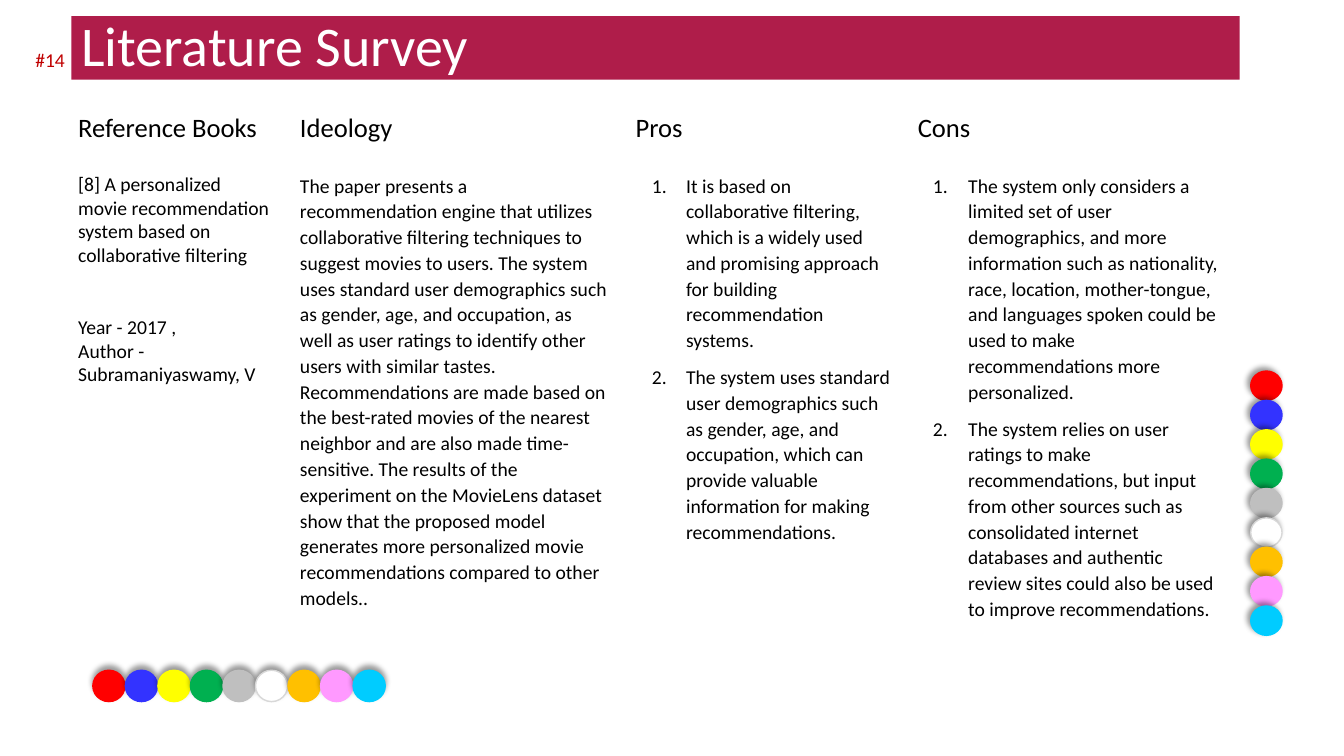
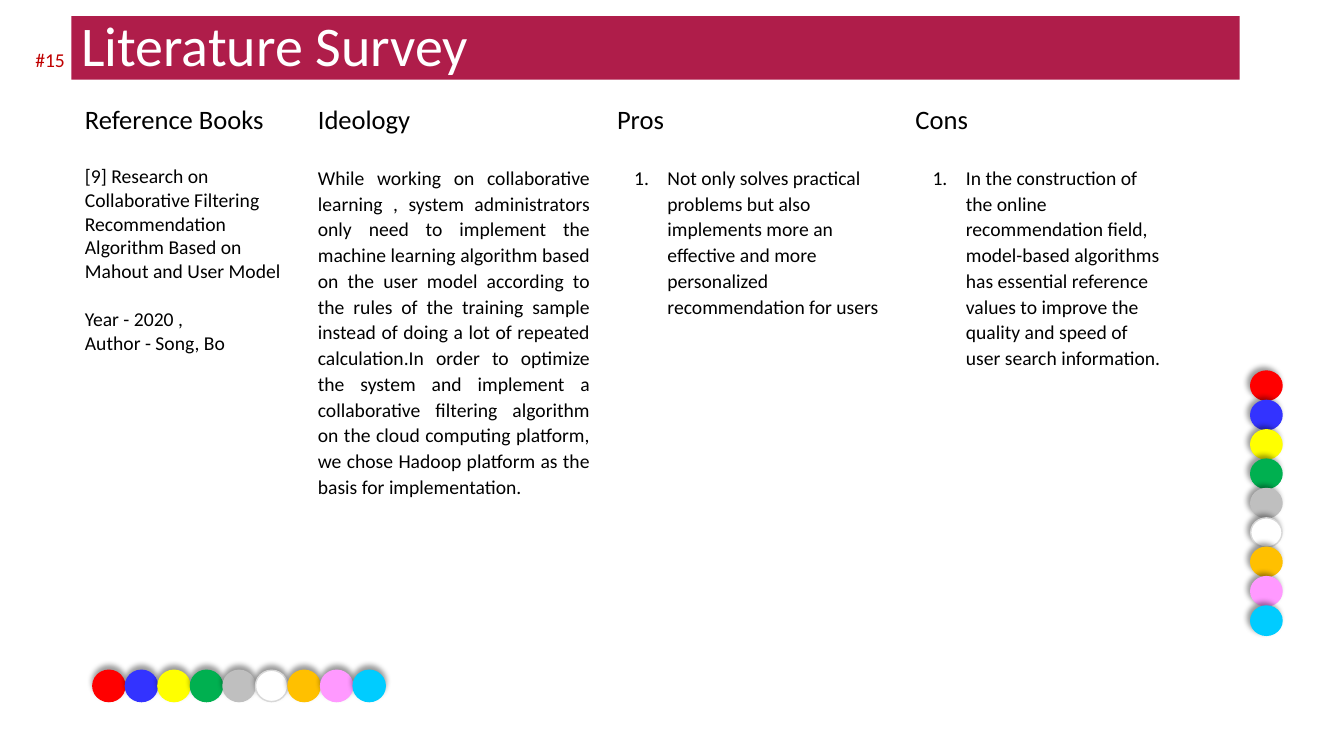
import pptx
import pptx.dml.color
import pptx.enum.shapes
import pptx.enum.text
import pptx.oxml
import pptx.oxml.ns
import pptx.util
from lxml import etree

Cm = pptx.util.Cm
Pt = pptx.util.Pt
RGBColor = pptx.dml.color.RGBColor
Shape = pptx.enum.shapes.MSO_SHAPE
Align = pptx.enum.text.PP_ALIGN
Anchor = pptx.enum.text.MSO_ANCHOR
qn = pptx.oxml.ns.qn

CRIMSON = RGBColor(0xAF, 0x1D, 0x4A)
DARK_RED = RGBColor(0xC0, 0x00, 0x00)
BLACK = RGBColor(0x00, 0x00, 0x00)
WHITE = RGBColor(0xFF, 0xFF, 0xFF)
RED = RGBColor(0xFF, 0x00, 0x00)
BLUE = RGBColor(0x33, 0x33, 0xFF)
YELLOW = RGBColor(0xFF, 0xFF, 0x00)
GREEN = RGBColor(0x00, 0xB0, 0x50)
GREY = RGBColor(0xBF, 0xBF, 0xBF)
PALE_GREY = RGBColor(0xD8, 0xD8, 0xD8)
AMBER = RGBColor(0xFF, 0xC0, 0x00)
PINK = RGBColor(0xFF, 0x99, 0xFF)
SKY = RGBColor(0x00, 0xCC, 0xFF)

BEADS = [RED, BLUE, YELLOW, GREEN, GREY, WHITE, AMBER, PINK, SKY]
HEADINGS = ["Reference Books", "Ideology", "Pros", "Cons"]

TITLE_FONT = {"name": "Calibri", "size": Pt(40), "color": WHITE}
NUMBER_FONT = {"name": "Calibri", "size": Pt(14), "color": DARK_RED}
HEADING_FONT = {"name": "Calibri", "size": Pt(19), "color": BLACK}
BODY_FONT = {"name": "Calibri", "size": Pt(14), "color": BLACK}
CELL_MARGINS = {f"margin_{side}": Cm(0.34) for side in ("left", "top", "right", "bottom")}


def apply(target, values):
    for name, value in values.items():
        setattr(target, name, value)


class SurveyDeck:
    def __init__(self):
        self.deck = pptx.Presentation()
        self.deck.slide_width = Cm(33.87)
        self.deck.slide_height = Cm(19.05)
        self.slide = None

    def new_slide(self, title, number):
        self.slide = self.deck.slides.add_slide(self.deck.slide_layouts[6])
        self.beads(31.52, 9.35, 0.79, 0.74, 0, 0.74, 225)
        self.beads(2.34, 16.89, 0.81, 0.79, 0.82, 0, 270)
        self.title_band(title)
        self.page_number(number)

    def beads(self, left, top, width, height, step_x, step_y, shadow_angle):
        strand = self.slide.shapes.add_group_shape()
        for i, color in enumerate(BEADS):
            bead = strand.shapes.add_shape(
                Shape.FLOWCHART_CONNECTOR, Cm(left + i * step_x), Cm(top + i * step_y),
                Cm(width), Cm(height))
            bead.fill.solid()
            bead.fill.fore_color.rgb = color
            bead.line.color.rgb = PALE_GREY if color == WHITE else color
            bead.line.width = Pt(1)
            self.cast_shadow(bead, shadow_angle)

    def cast_shadow(self, bead, angle):
        bead.shadow.inherit = False
        effects = bead.element.spPr.find(qn("a:effectLst"))
        shadow = etree.SubElement(
            effects, qn("a:outerShdw"), blurRad=str(Pt(4)), dist=str(Pt(3)),
            dir=str(angle * 60000), algn="ctr", rotWithShape="0")
        tint = etree.SubElement(shadow, qn("a:srgbClr"), val=str(BLACK))
        etree.SubElement(tint, qn("a:alpha"), val="40000")

    def title_band(self, title):
        band = self.slide.shapes.add_shape(
            Shape.RECTANGLE, Cm(1.8), Cm(0.41), Cm(29.44), Cm(1.6))
        band.shadow.inherit = False
        band.fill.solid()
        band.fill.fore_color.rgb = CRIMSON
        band.line.fill.background()
        band.text_frame.vertical_anchor = Anchor.MIDDLE
        self.fill_text(band.text_frame, [title], TITLE_FONT,
                       {"alignment": Align.LEFT, "line_spacing": 0.9})

    def page_number(self, number):
        label = self.slide.shapes.add_textbox(Cm(0.64), Cm(0.99), Cm(1.3), Cm(1.02))
        apply(label.text_frame, {"word_wrap": False, "vertical_anchor": Anchor.MIDDLE})
        self.fill_text(label.text_frame, [f"#{number}"], NUMBER_FONT, {"alignment": Align.LEFT})

    def fill_text(self, frame, texts, font, layout, gaps=(), hanging=None):
        for i, text in enumerate(texts):
            paragraph = frame.paragraphs[0] if i == 0 else frame.add_paragraph()
            if hanging:
                self.number_item(paragraph, hanging)
            apply(paragraph, layout)
            if i and gaps:
                paragraph.space_before = Pt(gaps[i - 1])
            run = paragraph.add_run()
            run.text = text
            apply(run.font, {"name": font["name"], "size": font["size"]})
            run.font.color.rgb = font["color"]

    def number_item(self, paragraph, hanging):
        properties = paragraph._p.get_or_add_pPr()
        properties.set("marL", str(Cm(1.27)))
        properties.set("indent", str(-Cm(hanging)))
        color = etree.SubElement(properties, qn("a:buClr"))
        etree.SubElement(color, qn("a:srgbClr"), val=str(BLACK))
        etree.SubElement(properties, qn("a:buFont"), typeface="+mj-lt")
        etree.SubElement(properties, qn("a:buAutoNum"), type="arabicPeriod")

    def survey_table(self, left, top, widths, entries):
        heights = [1.52, 10.85]
        table = self.slide.shapes.add_table(
            2, len(widths), Cm(left), Cm(top), Cm(sum(widths)), Cm(sum(heights))).table
        apply(table, {"first_row": False, "horz_banding": False})
        for row, height in zip(table.rows, heights):
            row.height = Cm(height)
        for column, width in zip(table.columns, widths):
            column.width = Cm(width)
        for cell in table.iter_cells():
            cell.fill.background()
            apply(cell, CELL_MARGINS)
        for i, (heading, entry) in enumerate(zip(HEADINGS, entries)):
            self.fill_text(table.cell(0, i).text_frame, [heading], HEADING_FONT, {})
            self.fill_text(table.cell(1, i).text_frame, font=BODY_FONT, **entry)


def reference(citation, year, author, gap):
    return {"texts": [citation, f"Year - {year} ,", f"Author - {author}"],
            "layout": {}, "gaps": [gap, 0]}


def ideology(text, alignment=Align.LEFT):
    return {"texts": [text], "layout": {"alignment": alignment, "line_spacing": 1.08}}


def points(texts, hanging):
    return {"texts": texts, "layout": {"line_spacing": 1.08},
            "gaps": [8] * (len(texts) - 1), "hanging": hanging}


def main():
    survey = SurveyDeck()

    survey.new_slide("Literature Survey", 14)
    survey.survey_table(1.63, 2.49, [5.59, 8.46, 7.11, 8.28], [
        reference("[8] A personalized movie recommendation system based on collaborative filtering",
                  2017, "Subramaniyaswamy, V", 34),
        ideology(
            "The paper presents a recommendation engine that utilizes collaborative filtering "
            "techniques to suggest movies to users. The system uses standard user demographics "
            "such as gender, age, and occupation, as well as user ratings to identify other users "
            "with similar tastes. Recommendations are made based on the best-rated movies of the "
            "nearest neighbor and are also made time-sensitive. The results of the experiment on "
            "the MovieLens dataset show that the proposed model generates more personalized movie "
            "recommendations compared to other models.."),
        points([
            "It is based on collaborative filtering, which is a widely used and promising approach "
            "for building recommendation systems.",
            "The system uses standard user demographics such as gender, age, and occupation, which "
            "can provide valuable information for making recommendations."], 0.86),
        points([
            "The system only considers a limited set of user demographics, and more information "
            "such as nationality, race, location, mother-tongue, and languages spoken could be "
            "used to make recommendations more personalized.",
            "The system relies on user ratings to make recommendations, but input from other "
            "sources such as consolidated internet databases and authentic review sites could "
            "also be used to improve recommendations."], 0.89),
    ])

    survey.new_slide("Literature Survey", 15)
    survey.survey_table(1.8, 2.29, [5.87, 7.54, 7.52, 6.99], [
        reference("[9] Research on Collaborative Filtering Recommendation Algorithm Based on "
                  "Mahout and User Model", 2020, "Song, Bo", 17),
        ideology(
            "While working on collaborative learning , system administrators only need to "
            "implement the machine learning algorithm based on the user model according to the "
            "rules of the training sample instead of doing a lot of repeated calculation.In order "
            "to optimize the system and implement a collaborative filtering algorithm on the cloud "
            "computing platform, we chose Hadoop platform as the basis for implementation.",
            Align.JUSTIFY),
        points([
            "Not only solves practical problems but also implements more an effective and more "
            "personalized recommendation for users"], 0.84),
        points([
            "In the construction of the online recommendation field, model-based algorithms has "
            "essential reference values to improve the quality and speed of user search "
            "information."], 0.84),
    ])

    survey.deck.save("out.pptx")


if __name__ == "__main__":
    main()
